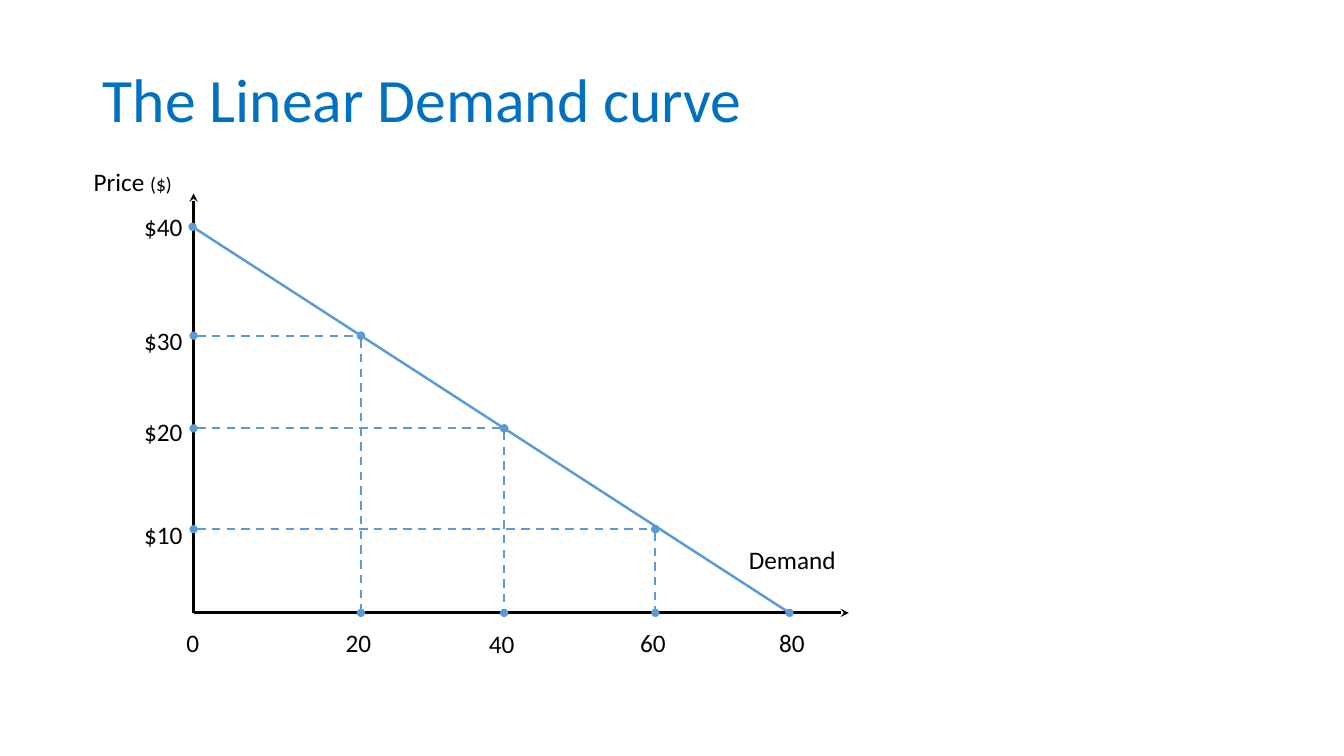
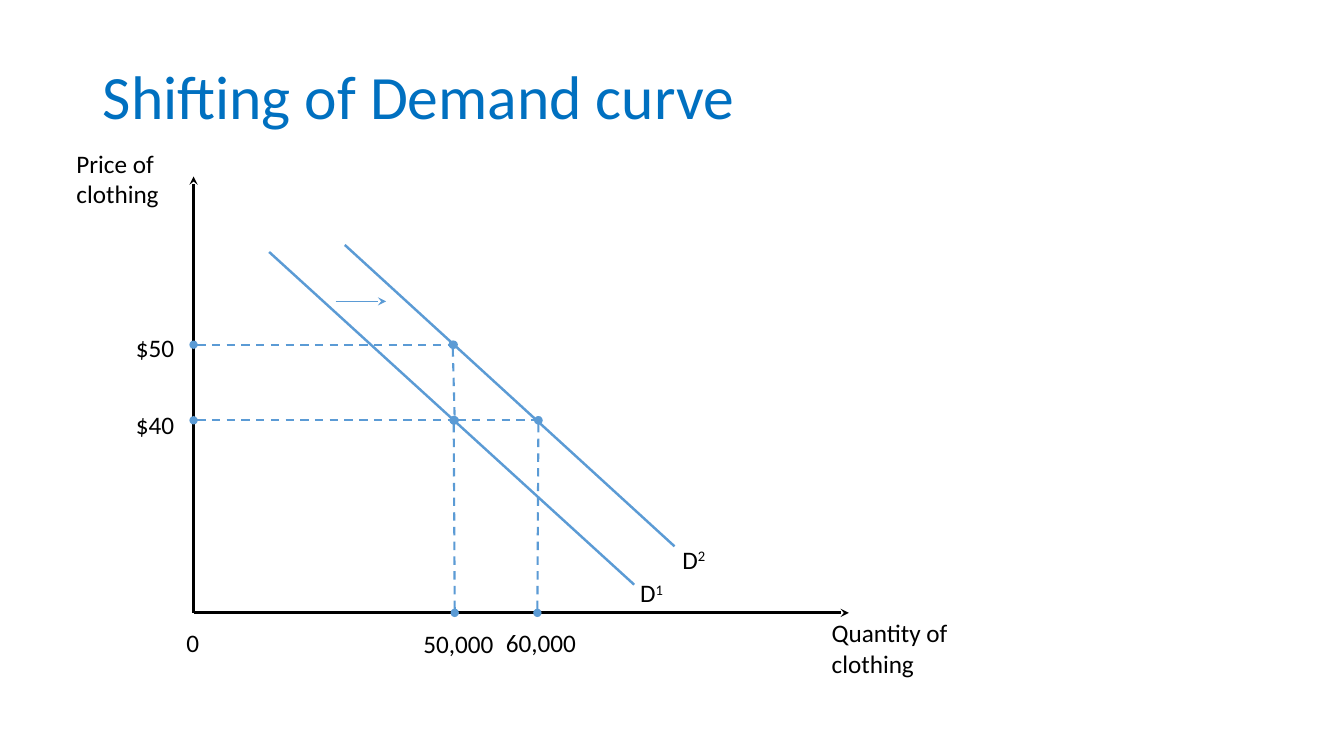
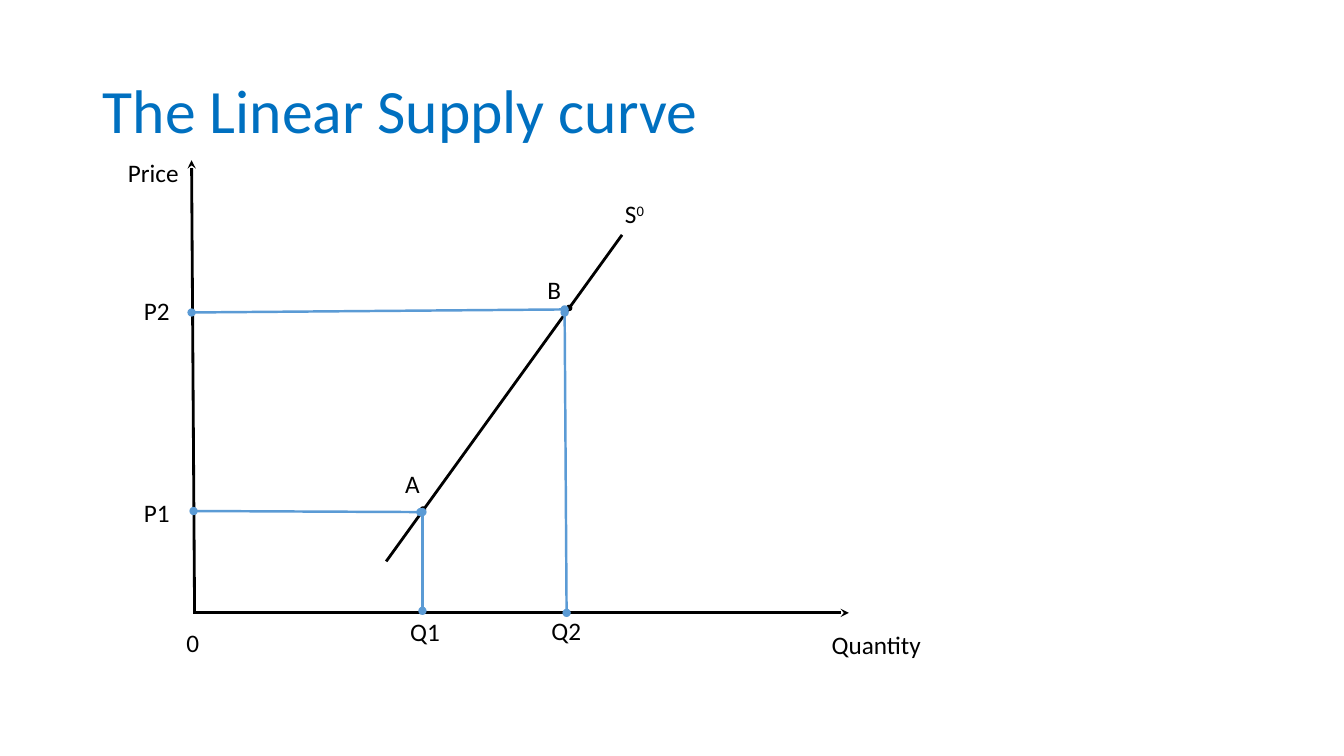
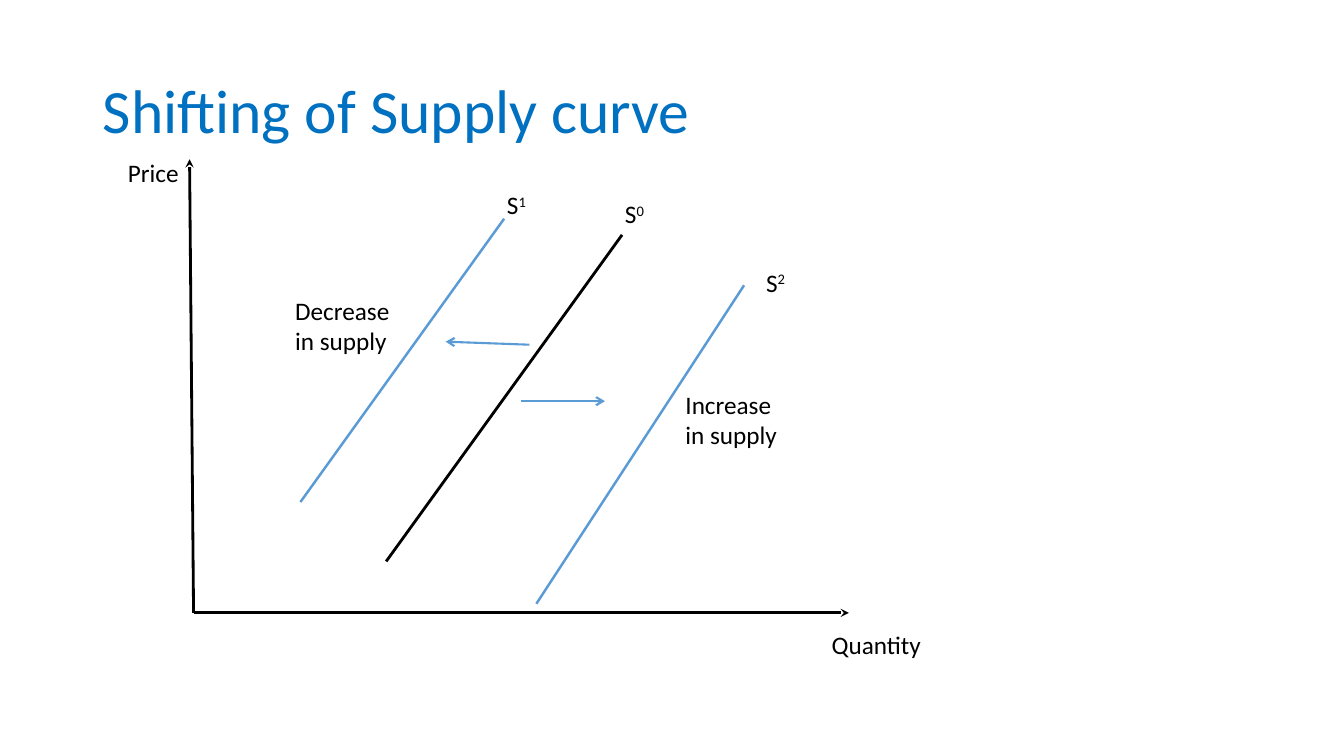
import pptx
import pptx.util
import pptx.dml.color
import pptx.enum.dml
import pptx.enum.shapes
import pptx.enum.text
import pptx.oxml.ns
import lxml.etree

Inches = pptx.util.Inches
Pt = pptx.util.Pt
RGBColor = pptx.dml.color.RGBColor

TITLE_BLUE = RGBColor(0x00, 0x70, 0xC0)
LINE_BLUE = RGBColor(0x5B, 0x9B, 0xD5)
BLACK = RGBColor(0, 0, 0)
FONT = "Calibri"
TEXT_SIZE, UNIT_SIZE, TITLE_SIZE = 18, 14, 44
SUPERSCRIPT = "30000"
LINE_HEIGHT, BOX_PADDING = 0.3, 0.1
DOT_SIZE = 0.05

AXIS_X, AXIS_Y, AXIS_END = 1.92, 6.08, 8.42
X_AXIS = (AXIS_X, AXIS_Y, AXIS_END, AXIS_Y)

# Line kinds: colour, width, dashed, start end, finish end
LINE_KINDS = {
    "axis": (BLACK, 2, False, None, "stealth"),
    "supply": (BLACK, 2, False, None, None),
    "curve": (LINE_BLUE, 1.75, False, None, None),
    "dotted curve": (LINE_BLUE, 1.75, False, "oval", "oval"),
    "guide": (LINE_BLUE, 1.5, True, "oval", "oval"),
    "shift": (LINE_BLUE, 1.5, False, None, "arrow"),
    "thin shift": (LINE_BLUE, 0.5, False, None, "stealth"),
}

DEMAND_POINTS = [(3.58, 3.33), (5, 4.25), (6.5, 5.25)]
DEMAND_GUIDES = [guide for x, y in DEMAND_POINTS
                 for guide in ((AXIS_X, y, x, y), (x, y, x, AXIS_Y))]
SUPPLY_CURVE = (6.17, 2.33, 3.83, 5.57)
SUPPLY_LABELS = [(8.15, 6.19, 1.1, "Quantity"), (1.17, 1.51, 0.71, "Price"),
                 (6.1, 1.92, 0.4, "S^0")]
ORIGIN_LABEL = (1.75, 6.17, 0.33, "0")

# Lines are (x1, y1, x2, y2); labels are (left, top, width, text).
# In a label, ^ starts a superscript and | a smaller unit.
SLIDES = [
    {
        "title": "The Linear Demand curve",
        "title_height": 1.24,
        "lines": {
            "axis": [(AXIS_X, AXIS_Y, AXIS_X, 1.92), X_AXIS],
            "dotted curve": [(1.91, 2.25, 7.83, AXIS_Y)],
            "guide": DEMAND_GUIDES,
        },
        "labels": [
            ORIGIN_LABEL,
            (0.83, 1.6, 0.99, "Price |($)"), (7.33, 5.35, 1.07, "Demand"),
            (1.33, 2.05, 0.59, "$40"), (1.33, 3.18, 0.59, "$30"),
            (1.33, 4.08, 0.59, "$20"), (1.33, 5.1, 0.59, "$10"),
            (3.33, 6.17, 0.46, "20"), (4.75, 6.18, 0.46, "40"),
            (6.25, 6.17, 0.46, "60"), (7.63, 6.17, 0.46, "80"),
        ],
    },
    {
        "title": "Shifting of Demand curve",
        "title_height": 1.17,
        "lines": {
            "axis": [(AXIS_X, AXIS_Y, AXIS_X, 1.75), X_AXIS],
            "curve": [(2.67, 2.5, 6.29, 5.8), (3.42, 2.43, 6.69, 5.42)],
            "guide": [
                (AXIS_X, 3.42, 4.5, 3.42), (4.49, 3.42, 4.51, 4.17),
                (AXIS_X, 4.17, 4.5, 4.17), (4.5, 4.17, 4.51, AXIS_Y),
                (4.5, 4.17, 5.34, 4.17), (5.34, 4.17, 5.33, AXIS_Y),
            ],
            "thin shift": [(3.33, 2.99, 3.83, 2.99)],
        },
        "labels": [
            ORIGIN_LABEL,
            (0.66, 1.42, 1.04, "Price of\nclothing"),
            (8.15, 6.08, 1.48, "Quantity of\nclothing"),
            (1.25, 3.25, 0.59, "$50"), (1.25, 4.01, 0.59, "$40"),
            (4.1, 6.18, 0.9, "50,000"), (4.92, 6.17, 0.9, "60,000"),
            (6.25, 5.68, 0.44, "D^1"), (6.67, 5.35, 0.44, "D^2"),
        ],
    },
    {
        "title": "The Linear Supply curve",
        "title_height": 1.45,
        "lines": {
            "axis": [(1.93, 6.09, 1.9, 1.59), X_AXIS],
            "supply": [SUPPLY_CURVE],
            "dotted curve": [
                (AXIS_X, 5.07, 4.17, 5.08), (4.19, 5.08, 4.19, 6.06),
                (1.9, 3.1, 5.6, 3.07), (5.6, 3.1, 5.62, AXIS_Y),
            ],
        },
        "dots": [(5.62, 3.03), (4.17, 5.03)],
        "labels": SUPPLY_LABELS + [
            ORIGIN_LABEL,
            (3.92, 4.6, 0.35, "A"), (5.33, 2.67, 0.35, "B"),
            (1.33, 2.88, 0.46, "P2"), (1.33, 4.88, 0.46, "P1"),
            (3.97, 6.07, 0.5, "Q1"), (5.37, 6.06, 0.5, "Q2"),
        ],
    },
    {
        "title": "Shifting of Supply curve",
        "title_height": 1.45,
        "lines": {
            "axis": [(AXIS_X, AXIS_Y, 1.88, 1.58), X_AXIS],
            "supply": [SUPPLY_CURVE],
            "curve": [(2.98, 4.98, 5, 2.17), (5.32, 5.99, 7.38, 2.83)],
            "shift": [(5.25, 3.42, 4.42, 3.39), (5.17, 3.98, 6, 3.98)],
        },
        "labels": SUPPLY_LABELS + [
            (4.93, 1.83, 0.4, "S^1"), (7.5, 2.6, 0.4, "S^2"),
            (2.83, 2.88, 1.2, "Decrease\nin supply"),
            (6.7, 3.81, 1.12, "Increase\nin supply"),
        ],
    },
]


def set_font(font, size, color):
    font.name, font.size = FONT, Pt(size)
    font.color.rgb = color


def add_title(slide, text, height):
    title = slide.shapes.title
    title.left, title.top = Inches(0.92), Inches(0.4)
    title.width, title.height = Inches(11.5), Inches(height)
    frame = title.text_frame
    frame.text = text
    frame.vertical_anchor = pptx.enum.text.MSO_ANCHOR.MIDDLE
    paragraph = frame.paragraphs[0]
    paragraph.alignment = pptx.enum.text.PP_ALIGN.LEFT
    paragraph.line_spacing = 0.9
    set_font(paragraph.runs[0].font, TITLE_SIZE, TITLE_BLUE)


def add_line(slide, kind, ends):
    color, width, dashed, start, finish = LINE_KINDS[kind]
    connector = slide.shapes.add_connector(
        pptx.enum.shapes.MSO_CONNECTOR.STRAIGHT, *map(Inches, ends))
    connector.line.color.rgb = color
    connector.line.width = Pt(width)
    if dashed:
        connector.line.dash_style = pptx.enum.dml.MSO_LINE.DASH
    outline = connector.line._get_or_add_ln()
    for tag, end in (("a:headEnd", start), ("a:tailEnd", finish)):
        if end:
            lxml.etree.SubElement(outline, pptx.oxml.ns.qn(tag), type=end)
    lxml.etree.SubElement(connector._element.spPr, pptx.oxml.ns.qn("a:effectLst"))


def add_dot(slide, left, top):
    dot = slide.shapes.add_shape(
        pptx.enum.shapes.MSO_SHAPE.FLOWCHART_CONNECTOR,
        Inches(left), Inches(top), Inches(DOT_SIZE), Inches(DOT_SIZE))
    dot.shadow.inherit = False
    dot.fill.solid()
    dot.fill.fore_color.rgb = BLACK
    dot.line.color.rgb = BLACK
    dot.line.width = Pt(1)


def add_label(slide, left, top, width, text):
    lines = text.split("\n")
    height = LINE_HEIGHT * len(lines) + BOX_PADDING
    box = slide.shapes.add_textbox(*map(Inches, (left, top, width, height)))
    frame = box.text_frame
    frame.word_wrap = False
    frame.auto_size = pptx.enum.text.MSO_AUTO_SIZE.SHAPE_TO_FIT_TEXT
    for index, line in enumerate(lines):
        paragraph = frame.add_paragraph() if index else frame.paragraphs[0]
        mark = "|" if "|" in line else "^"
        main, _, extra = line.partition(mark)
        paragraph.text = main
        set_font(paragraph.runs[0].font, TEXT_SIZE, BLACK)
        if extra:
            run = paragraph.add_run()
            run.text = extra
            set_font(run.font, UNIT_SIZE if mark == "|" else TEXT_SIZE, BLACK)
            if mark == "^":
                run.font._element.set("baseline", SUPERSCRIPT)


def main():
    presentation = pptx.Presentation()
    presentation.slide_width = Inches(13.33)
    presentation.slide_height = Inches(7.5)
    title_only = presentation.slide_layouts[5]
    for content in SLIDES:
        slide = presentation.slides.add_slide(title_only)
        add_title(slide, content["title"], content["title_height"])
        for dot in content.get("dots", []):
            add_dot(slide, *dot)
        for kind, lines in content["lines"].items():
            for ends in lines:
                add_line(slide, kind, ends)
        for label in content["labels"]:
            add_label(slide, *label)
    presentation.save("out.pptx")


if __name__ == "__main__":
    main()
